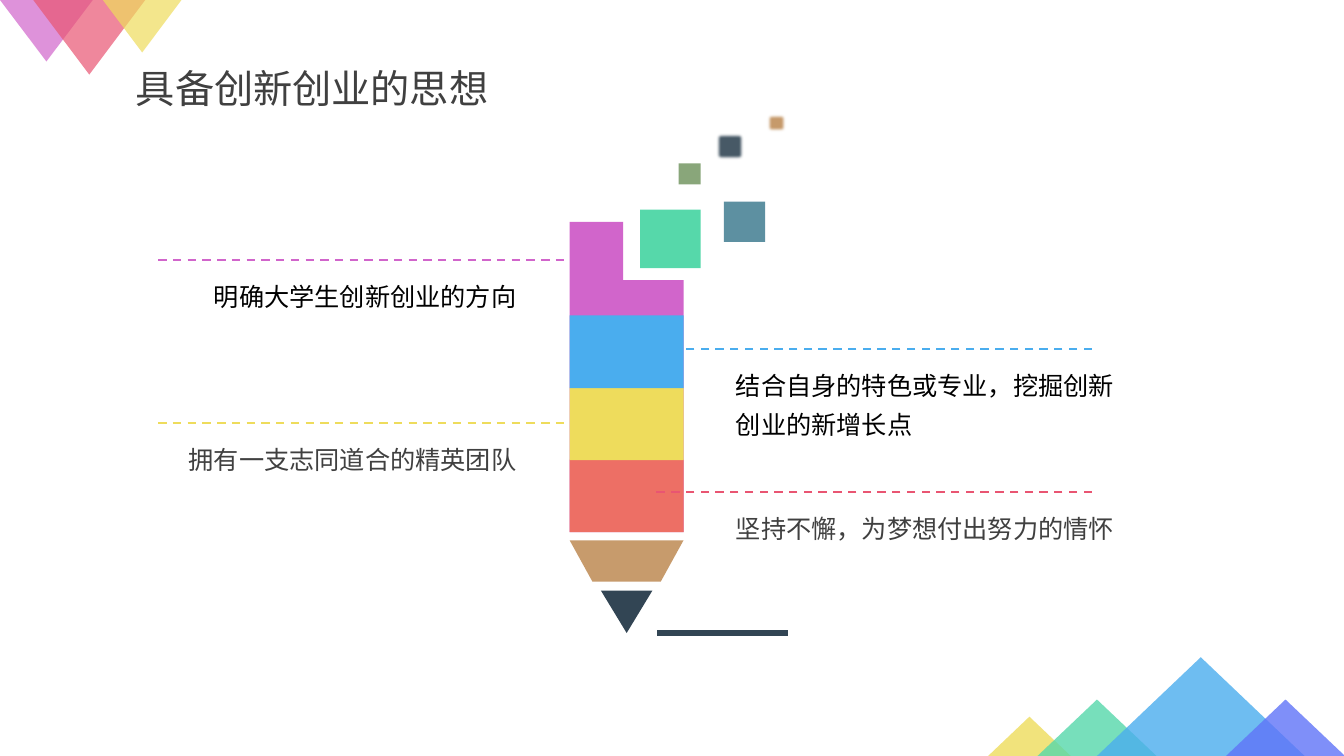
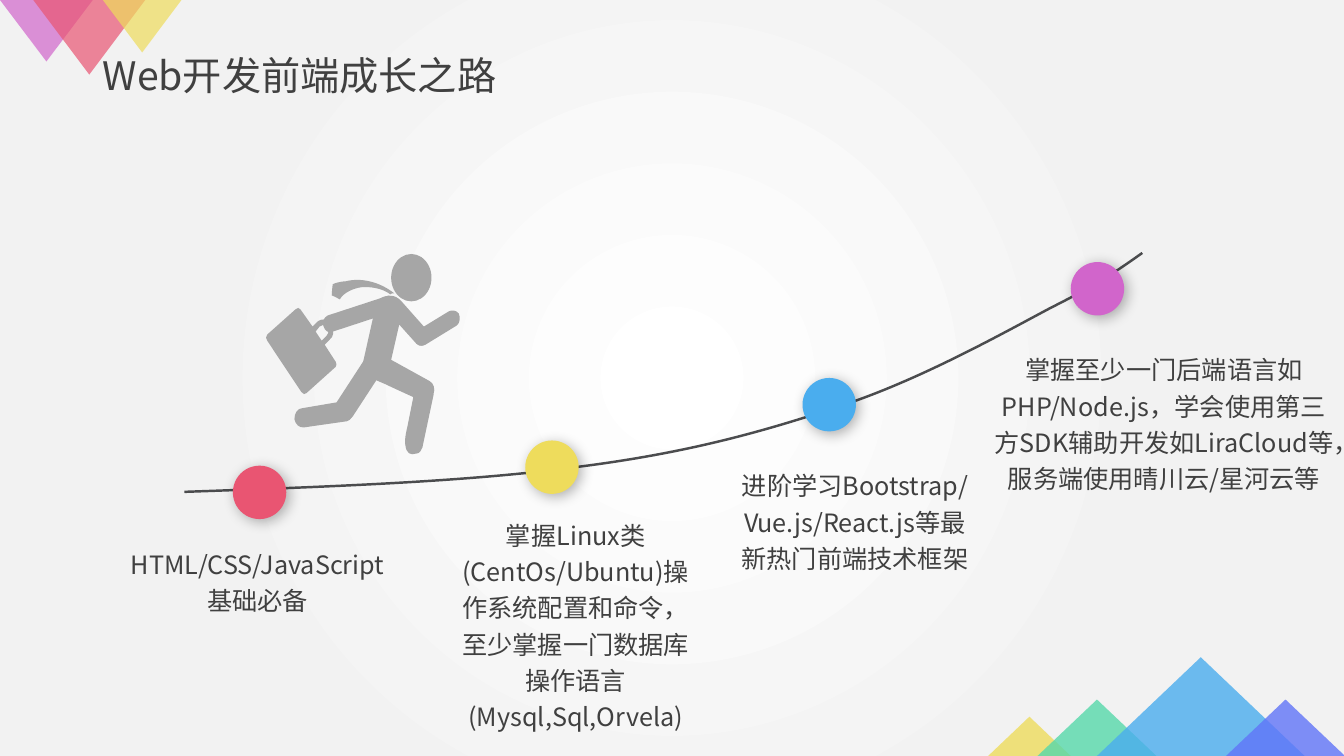
from dataclasses import dataclass
from lxml.etree import SubElement
from pptx import Presentation
from pptx.dml.color import RGBColor
from pptx.enum.dml import MSO_LINE
from pptx.enum.shapes import MSO_CONNECTOR, MSO_SHAPE as Preset
from pptx.enum.text import MSO_AUTO_SIZE as AutoSize, PP_ALIGN as Align
from pptx.oxml.ns import qn
from pptx.util import Inches, Pt


@dataclass(frozen=True)
class Theme:
    font: str = "Noto Sans CJK SC"
    title_size: int = 28
    body_size: int = 18
    text: str = "404040"
    black: str = "000000"
    white: str = "FFFFFF"
    pale: str = "F2F2F2"
    orchid: str = "D165CB"
    rose: str = "E95572"
    yellow: str = "EEDC5C"
    mint: str = "56D8AA"
    sky: str = "4AADEE"
    indigo: str = "6074F8"
    coral: str = "ED6F65"
    wood: str = "C79B6C"
    navy: str = "324554"
    sage: str = "89A67A"
    teal: str = "508799"
    road: str = "4B4C4E"
    runner: str = "A6A6A6"


theme = Theme()


def paint(shape, color, opacity=100):
    shape.shadow.inherit = False
    shape.line.fill.background()
    shape.fill.solid()
    shape.fill.fore_color.rgb = RGBColor.from_string(color)
    if opacity < 100:
        clr = shape.element.spPr.find(f"{qn('a:solidFill')}/{qn('a:srgbClr')}")
        SubElement(clr, qn("a:alpha"), val=str(opacity * 1000))
    return shape


def write(slide, box, text, size=theme.body_size, color=theme.text,
          align=Align.LEFT, spacing=None, grow=True):
    frame = slide.shapes.add_textbox(*map(Inches, box)).text_frame
    frame.word_wrap = True
    frame.auto_size = AutoSize.SHAPE_TO_FIT_TEXT if grow else AutoSize.NONE
    frame.text = text
    for paragraph in frame.paragraphs:
        paragraph.alignment = align
        paragraph.line_spacing = spacing
        for run in paragraph.runs:
            run.font.size = Pt(size)
            run.font.name = theme.font
            run.font.color.rgb = RGBColor.from_string(color)
            SubElement(run.font._element, qn("a:ea"), typeface=theme.font)


prs = Presentation()
prs.slide_width, prs.slide_height = Inches(13.33), Inches(7.5)

# Shared frame: background, corner triangles, title
top_triangles = [
    (0, 0, 0.92, 0.61, theme.orchid),
    (0.33, 0, 1.11, 0.74, theme.rose),
    (1.02, 0, 0.78, 0.52, theme.yellow),
]
bottom_triangles = [
    (9.8, 7.11, 0.82, 0.39, theme.yellow),
    (10.29, 6.94, 1.18, 0.56, theme.mint),
    (10.88, 6.52, 2.06, 0.98, theme.sky),
    (12.16, 6.94, 1.18, 0.56, theme.indigo),
]
titles = [
    ("具备创新创业的思想", (1.25, 0.59, 3.97, 0.57)),
    ("Web开发前端成长之路", (0.92, 0.46, 4.42, 0.57)),
]
slides = []
for title, title_box in titles:
    slide = prs.slides.add_slide(prs.slide_layouts[6])
    for triangles, angle, opacity in ((top_triangles, 180, 70), (bottom_triangles, 0, 80)):
        corner = slide.shapes.add_group_shape().shapes
        for *box, color in triangles:
            triangle = corner.add_shape(Preset.ISOSCELES_TRIANGLE, *map(Inches, box))
            triangle.rotation = angle
            paint(triangle, color, opacity)
    write(slide, title_box, title, theme.title_size)
    slides.append(slide)
mindset, journey = slides

mindset.background.fill.solid()
mindset.background.fill.fore_color.rgb = RGBColor.from_string(theme.white)

glow = journey.background.fill
glow.gradient()
for stop, color, position in zip(glow.gradient_stops, (theme.white, theme.pale), (0, 0.65)):
    stop.color.rgb = RGBColor.from_string(color)
    stop.position = position
gradient = journey.element.find(f".//{qn('a:gradFill')}")
gradient.remove(gradient.find(qn("a:lin")))
circle = SubElement(gradient, qn("a:path"), {"path": "circle"})
SubElement(circle, qn("a:fillToRect"), dict.fromkeys("ltrb", "50000"))

# Slide 1: pencil
pencil = mindset.shapes.add_group_shape().shapes
tip = pencil.add_shape(Preset.ISOSCELES_TRIANGLE, *map(Inches, (5.96, 5.86, 0.51, 0.42)))
tip.rotation = 180
paint(tip, theme.navy)
cone = (5.65, 5.36, 1.13, 0.41)
paint(pencil.add_shape(Preset.FLOWCHART_MANUAL_OPERATION, *map(Inches, cone)), theme.wood)

barrel = [(5.65, 2.2), (6.18, 2.2), (6.18, 2.78), (6.78, 2.78), (6.78, 5.28), (5.65, 5.28)]
outline = [(Inches(x), Inches(y)) for x, y in barrel]
builder = pencil.build_freeform(*outline[0])
builder.add_line_segments(outline[1:])
paint(builder.convert_to_shape(), theme.orchid)

flying_squares = [
    (6.35, 2.08, 0.6, 0.58, theme.mint, 100, False),
    (6.73, 1.62, 0.22, 0.21, theme.sage, 100, False),
    (7.59, 1.12, 0.22, 0.21, theme.wood, 100, True),
    (7.09, 1.31, 0.3, 0.29, theme.navy, 89, True),
    (7.18, 2, 0.41, 0.4, theme.teal, 92, False),
]
for *box, color, opacity, soft in flying_squares:
    square = paint(pencil.add_shape(Preset.RECTANGLE, *map(Inches, box)), color, opacity)
    if soft:
        effects = square.element.spPr.find(qn("a:effectLst"))
        SubElement(effects, qn("a:softEdge"), rad=str(Pt(2.5)))

stroke_specs = [
    (6.52, 7.82, 6.28, theme.navy, 4.5, None),
    (1.57, 5.91, 2.58, theme.orchid, 1.5, MSO_LINE.DASH),
    (1.57, 5.91, 4.2, theme.yellow, 1.5, MSO_LINE.DASH),
    (10.83, 6.49, 3.46, theme.sky, 1.5, MSO_LINE.DASH),
    (10.83, 6.5, 4.88, theme.rose, 1.5, MSO_LINE.DASH),
]
for row, color in enumerate((theme.coral, theme.yellow, theme.sky)):
    band = (5.65, 4.56 - 0.715 * row, 1.13, 0.72)
    paint(pencil.add_shape(Preset.RECTANGLE, *map(Inches, band)), color)

# Slide 1: pencil stroke and dashed callout lines
for start, end, y, color, width, dash in stroke_specs:
    owner = mindset.shapes if dash else pencil
    stroke = owner.add_connector(MSO_CONNECTOR.STRAIGHT, *map(Inches, (start, y, end, y)))
    stroke.line.color.rgb = RGBColor.from_string(color)
    stroke.line.width = Pt(width)
    stroke.line.dash_style = dash
    SubElement(stroke.element.spPr, qn("a:effectLst"))

# Slide 1: callout texts
callouts = [
    (1.19, 2.65, 0.49, Align.RIGHT, theme.black, "明确大学生创新创业的方向"),
    (1.19, 4.27, 0.49, Align.RIGHT, theme.text, "拥有一支志同道合的精英团队"),
    (7.2, 3.53, 0.89, Align.LEFT, theme.black, "结合自身的特色或专业，挖掘创新创业的新增长点"),
    (7.2, 4.95, 0.49, Align.LEFT, theme.text, "坚持不懈，为梦想付出努力的情怀"),
]
for left, top, height, align, color, text in callouts:
    write(mindset, (left, top, 4.03, height), text, color=color, align=align, spacing=1.3)

# Slide 2: outlines as contours; 2 numbers are a point, 6 are a cubic curve
road = [[(1.83, 4.88), (3.25, 4.83, 4.66, 4.78, 5.75, 4.63),
         (6.84, 4.49, 7.58, 4.28, 8.36, 4.02), (9.14, 3.76, 9.94, 3.31, 10.43, 3.05),
         (10.93, 2.8, 11.13, 2.65, 11.33, 2.51)]]
body = [[(3.6, 3.6), (3.73, 3.02), (3.74, 2.95, 3.85, 2.92, 3.91, 2.94),
         (3.94, 2.95, 3.97, 2.97, 4, 3.01), (4.24, 3.28), (4.27, 3.32, 4.27, 3.37, 4.24, 3.4),
         (4.22, 3.42, 4.2, 3.43, 4.18, 3.43), (4.16, 3.43, 4.15, 3.43, 4.13, 3.41),
         (3.96, 3.22), (3.88, 3.57), (4.26, 3.78), (4.3, 3.8, 4.32, 3.86, 4.3, 3.91),
         (4.3, 3.92), (4.19, 4.44), (4.18, 4.47, 4.16, 4.5, 4.13, 4.5),
         (4.07, 4.52, 4.03, 4.5, 4.02, 4.41), (4.01, 4.35, 4.04, 4.24, 4.04, 4.24),
         (4.1, 3.94), (4.1, 3.94, 3.88, 3.84, 3.84, 3.82),
         (3.8, 3.8, 3.69, 3.76, 3.64, 3.72), (3.61, 3.69, 3.59, 3.65, 3.6, 3.6)]]
front_arm = [[(4.53, 3.23), (4.56, 3.21, 4.57, 3.15, 4.55, 3.11),
              (4.53, 3.08, 4.48, 3.07, 4.45, 3.09), (4.14, 3.28),
              (4.11, 3.3, 4.1, 3.36, 4.12, 3.39), (4.14, 3.43, 4.19, 3.44, 4.22, 3.42)]]
back_arm = [[(3.88, 3.1), (3.92, 3.08, 3.94, 3.03, 3.92, 2.99),
             (3.91, 2.94, 3.86, 2.92, 3.83, 2.94), (3.25, 3.13),
             (3.21, 3.15, 3.19, 3.2, 3.21, 3.24), (3.22, 3.28, 3.26, 3.31, 3.3, 3.29)]]
thigh = [[(3.34, 3.99), (3.31, 4.04, 3.32, 4.11, 3.36, 4.15),
          (3.4, 4.19, 3.47, 4.18, 3.5, 4.13), (3.8, 3.67),
          (3.84, 3.62, 3.83, 3.55, 3.78, 3.51), (3.74, 3.47, 3.68, 3.48, 3.64, 3.53)]]
shin = [[(3, 4.05), (2.95, 4.05, 2.92, 4.1, 2.92, 4.16),
         (2.93, 4.21, 2.97, 4.25, 3.02, 4.24), (3.44, 4.18),
         (3.48, 4.17, 3.51, 4.12, 3.5, 4.07), (3.5, 4.01, 3.46, 3.98, 3.41, 3.98)]]
briefcase = [
    [(2.65, 3.38), (2.63, 3.36, 2.64, 3.34, 2.65, 3.32), (2.93, 3.07),
     (2.95, 3.05, 2.97, 3.05, 2.98, 3.07), (3.1, 3.24), (3.15, 3.19),
     (3.19, 3.16, 3.24, 3.16, 3.26, 3.21), (3.28, 3.24),
     (3.32, 3.28, 3.31, 3.34, 3.27, 3.37), (3.22, 3.42), (3.33, 3.59),
     (3.34, 3.6, 3.34, 3.63, 3.33, 3.64), (3.04, 3.9),
     (3.03, 3.92, 3, 3.91, 2.99, 3.89)],
    [(3.24, 3.33), (3.26, 3.32, 3.26, 3.29, 3.25, 3.27), (3.23, 3.24),
     (3.22, 3.22, 3.19, 3.22, 3.17, 3.24), (3.13, 3.29), (3.19, 3.38)],
]
tie = [[(3.58, 2.85), (3.66, 2.84, 3.8, 2.86, 3.87, 2.92),
        (3.88, 2.91, 3.89, 2.91, 3.91, 2.91), (3.77, 2.8, 3.59, 2.75, 3.43, 2.79),
        (3.39, 2.79, 3.31, 2.81, 3.3, 2.82), (3.3, 2.82, 3.29, 2.9, 3.29, 2.93),
        (3.31, 2.94, 3.34, 2.95, 3.37, 2.97), (3.41, 2.9, 3.51, 2.86, 3.58, 2.85)]]

# Slide 2: growth curve and runner
runner = journey.shapes.add_group_shape().shapes
head = (3.88, 2.52, 0.4, 0.47)
paint(runner.add_shape(Preset.OVAL, *map(Inches, head)), theme.runner)
for part in (road, body, front_arm, back_arm, thigh, shin, briefcase, tie):
    is_road = part is road
    builder = (journey.shapes if is_road else runner).build_freeform(*map(Inches, part[0][0]))
    for index, (start, *segments) in enumerate(part):
        if index:
            builder.move_to(*map(Inches, start))
        ends = [tuple(map(Inches, segment[-2:])) for segment in segments]
        builder.add_line_segments(ends, close=not is_road)
    figure = paint(builder.convert_to_shape(), theme.runner)

    # Bend the straight segments that have control points
    segments = [segment for contour in part for segment in contour[1:]]
    for straight, segment in zip(list(figure.element.iter(qn("a:lnTo"))), segments):
        if len(segment) == 6:
            straight.tag = qn("a:cubicBezTo")
            straight.remove(straight[0])
            for x, y in zip(segment[::2], segment[1::2]):
                SubElement(straight, qn("a:pt"), x=str(Inches(x) - figure.left),
                           y=str(Inches(y) - figure.top))
    if is_road:
        figure.fill.background()
        figure.line.color.rgb = RGBColor.from_string(theme.road)
        figure.line.width = Pt(1.75)

# Slide 2: milestone texts
milestone_texts = [
    ((1.13, 5.34, 2.85, 0.98), "HTML/CSS/JavaScript\n基础必备"),
    ((4.4, 5.05, 2.62, 1.09),
     "掌握Linux类(CentOs/Ubuntu)操作系统配置和命令，至少掌握一门数据库操作语言(Mysql,Sql,Orvela)"),
    ((7.16, 4.56, 2.64, 1.23), "进阶学习Bootstrap/Vue.js/React.js等最新热门前端技术框架"),
    ((9.76, 3.41, 3.57, 1.35),
     "掌握至少一门后端语言如PHP/Node.js，学会使用第三方SDK辅助开发如LiraCloud等，服务端使用晴川云/星河云等"),
]
for box, text in milestone_texts:
    write(journey, box, text, align=Align.CENTER, spacing=1.2, grow=False)

# Slide 2: milestone dots with a soft shadow
milestones = [
    (2.31, 4.62, theme.rose),
    (5.21, 4.37, theme.yellow),
    (7.96, 3.75, theme.sky),
    (10.62, 2.6, theme.orchid),
]
for left, top, color in milestones:
    dot = paint(journey.shapes.add_shape(
        Preset.OVAL, *map(Inches, (left, top, 0.53, 0.53))), color)
    shadow = SubElement(dot.element.spPr.find(qn("a:effectLst")), qn("a:outerShdw"),
                        blurRad=str(Pt(10)), dist=str(Pt(3)), dir=str(45 * 60000))
    shade = SubElement(shadow, qn("a:srgbClr"), val=theme.black)
    SubElement(shade, qn("a:alpha"), val="30000")

prs.save("out.pptx")
